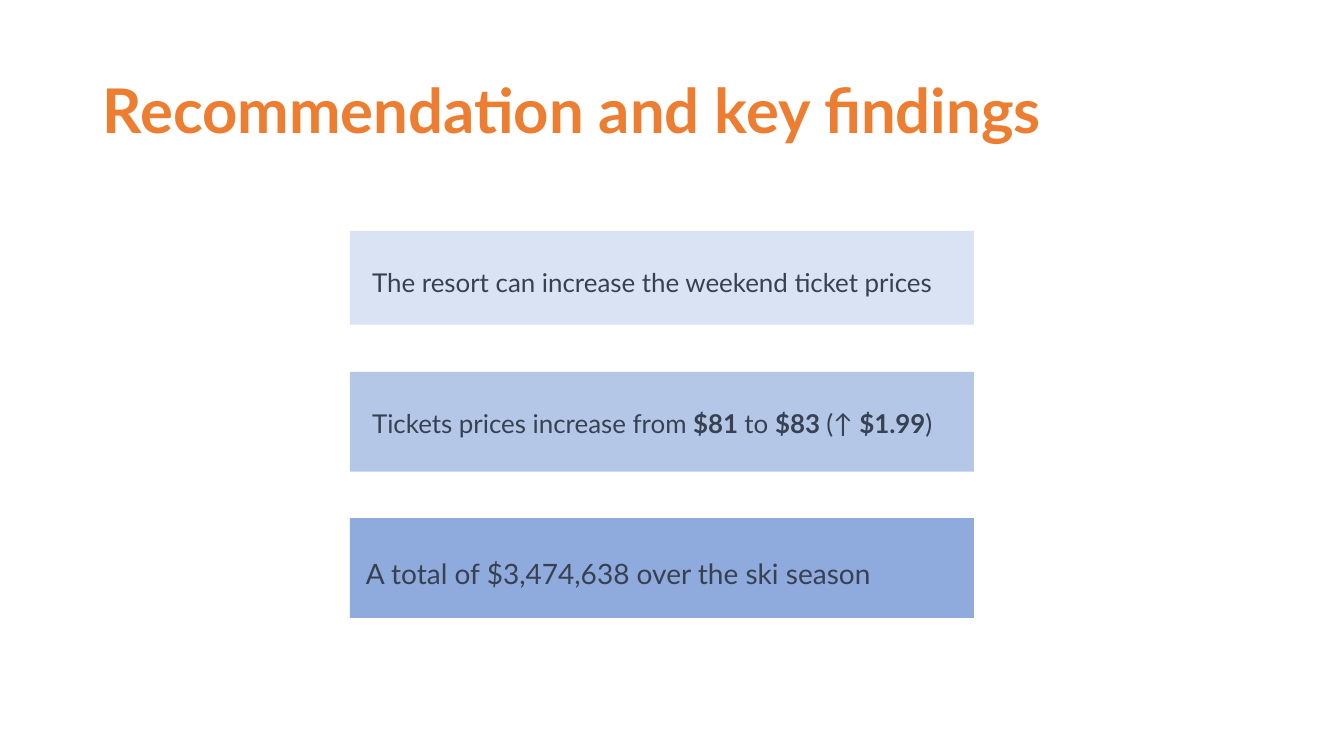
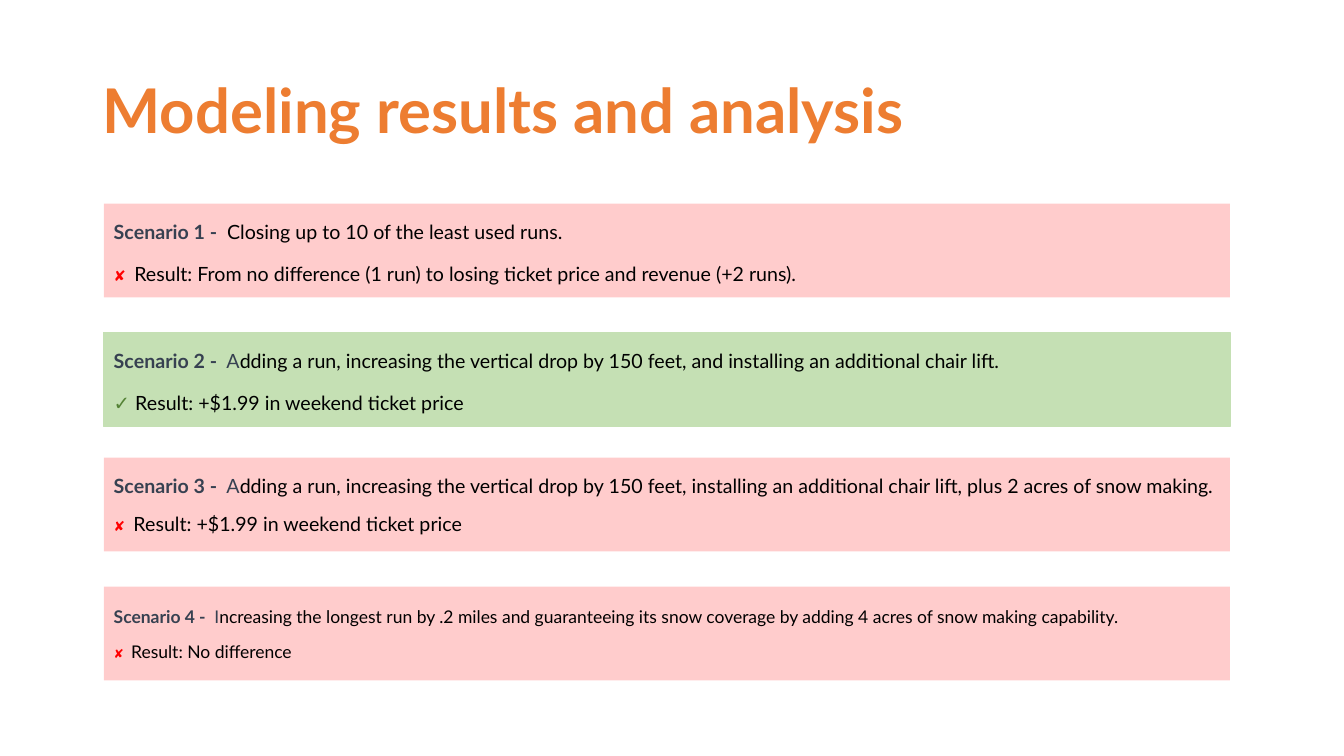
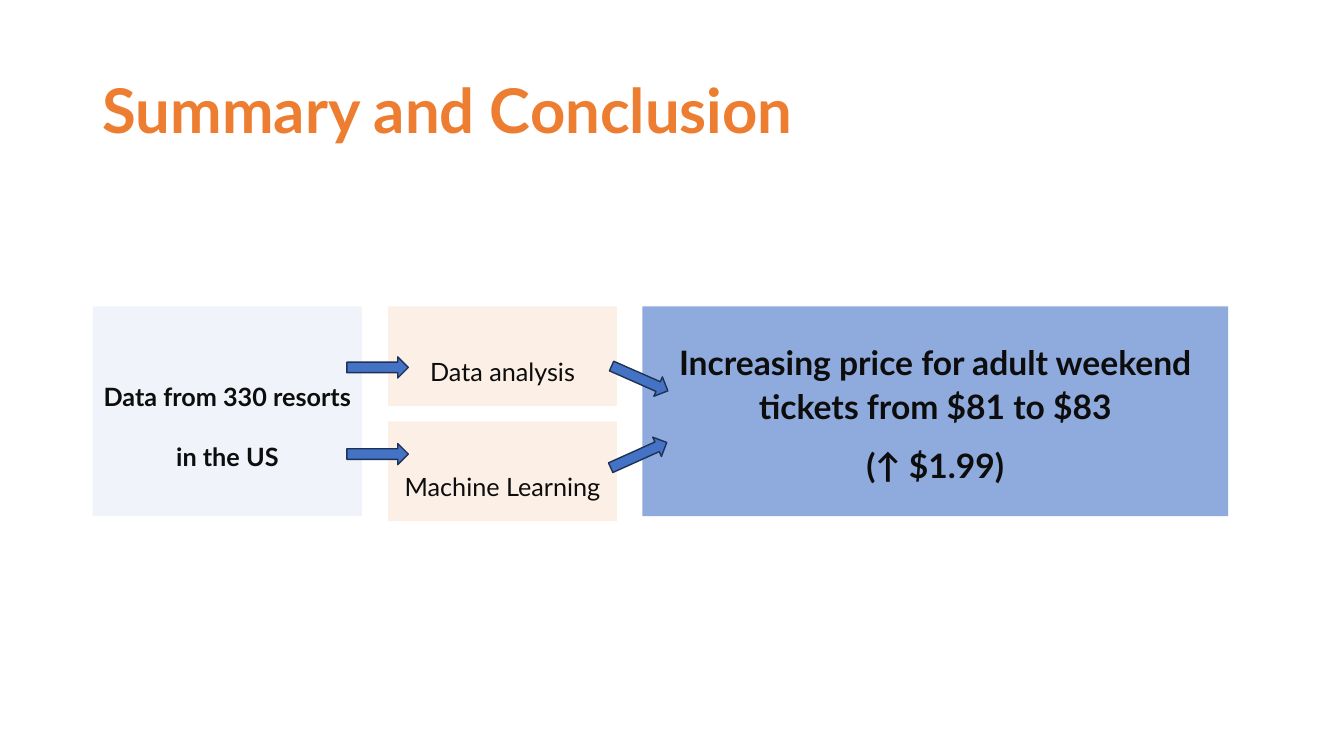
import pptx
import pptx.dml.color
import pptx.enum.shapes
import pptx.enum.text
import pptx.oxml
import pptx.util
from pptx.util import Inches

COLOURS = {
    "title": "ED7D31", "slate": "374151", "black": "000000", "ink": "0D0D0D",
    "pale_blue": "DAE3F3", "light_blue": "B4C7E7", "mid_blue": "8FAADC",
    "arrow": "4472C4", "arrow_edge": "1E3256", "peach": "F4B183",
    "red": "FF0000", "light_green": "C5E0B4", "green": "548235",
}
SHAPES = pptx.enum.shapes.MSO_SHAPE
ANCHOR = pptx.enum.text.MSO_ANCHOR
ALIGN = pptx.enum.text.PP_ALIGN


def rgb(name):
    return pptx.dml.color.RGBColor.from_string(COLOURS[name])


class SlideBuilder:
    """Holds the deck, its shared style and the slide being filled."""

    def __init__(self):
        self.deck = pptx.Presentation()
        self.deck.slide_width = Inches(13.33)
        self.deck.slide_height = Inches(7.5)
        self.page = None

    def start(self, title):
        """Add a slide with the shared heading."""
        self.page = self.deck.slides.add_slide(self.deck.slide_layouts[6])
        box = self.page.shapes.add_textbox(*map(Inches, (0.92, 0.4, 11.5, 1.45)))
        self.set_text(box, [[(title, {"color": "title", "bold": True})]],
                      size=44, spacing=0.9, before=0)

    def set_text(self, box, paras, size, color="black", spacing=1.0, before=10,
                 align=ALIGN.LEFT, anchor=ANCHOR.MIDDLE, indent=0.1):
        """Fill a shape; each paragraph is a list of (text, format) spans."""
        frame = box.text_frame
        layout = {"word_wrap": True, "vertical_anchor": anchor,
                  "margin_left": Inches(indent)}
        for name, value in layout.items():
            setattr(frame, name, value)
        for index, spans in enumerate(paras):
            para = frame.paragraphs[0] if index == 0 else frame.add_paragraph()
            settings = {"alignment": align, "line_spacing": spacing,
                        "space_before": pptx.util.Pt(before)}
            for name, value in settings.items():
                setattr(para, name, value)
            for text, changes in spans:
                values = {"name": "Lato", "size": size, "bold": False,
                          "color": color, **changes}
                span = para.add_run()
                span.text = text
                span.font.color.rgb = rgb(values.pop("color"))
                values["size"] = pptx.util.Pt(values["size"])
                for name, value in values.items():
                    setattr(span.font, name, value)

    def shape(self, place, fill, kind=SHAPES.RECTANGLE, opacity=100,
              edge=None, edge_width=1.0, turn=0):
        item = self.page.shapes.add_shape(kind, *map(Inches, place))
        item.shadow.inherit = False
        item.rotation = turn
        item.fill.solid()
        item.fill.fore_color.rgb = rgb(fill)
        if opacity < 100:
            colour = item.element.spPr.find(".//" + pptx.oxml.ns.qn("a:srgbClr"))
            alpha = pptx.oxml.parse_xml(
                f'<a:alpha {pptx.oxml.ns.nsdecls("a")} val="{opacity * 1000}"/>')
            colour.append(alpha)
        if edge:
            item.line.color.rgb = rgb(edge)
            item.line.width = pptx.util.Pt(edge_width)
        else:
            item.line.fill.background()
        return item

    def panel(self, place, fill, paras, opacity=100, edge=None, **style):
        """Add a filled rectangle with text."""
        box = self.shape(place, fill, opacity=opacity, edge=edge, edge_width=0.75)
        self.set_text(box, paras, **style)

    def scenario(self, top, number, text, result, size, spacing, mark_size=None):
        """Add a scenario band; a mark size means that it was rejected."""
        label = (f"Scenario {number} - ", {"color": "slate", "bold": True})
        if mark_size:
            mark = ("✘ ", {"name": "Calibri", "size": mark_size, "color": "red"})
            look = {"fill": "red", "opacity": 20}
        else:
            mark = ("✓", {"color": "green"})
            look = {"fill": "light_green", "edge": "light_green"}
        first = {"color": "black" if number == 1 else "slate"}
        paras = [[label, (" " + text[0], first), (text[1:], {})],
                 [mark, (" Result: " + result, {})]]
        self.panel((1.03, top, 11.17, 0.93), paras=paras, size=size,
                   spacing=spacing, **look)

    def arrow(self, left, top, turn=0):
        self.shape((left, top, 0.61, 0.21), "arrow", SHAPES.RIGHT_ARROW,
                   edge="arrow_edge", turn=turn)


def add_findings(builder):
    builder.start("Recommendation and key findings")
    bold = {"bold": True}
    findings = [
        (2.29, 0.93, "pale_blue", 18.5, 0.22,
         [("The resort can increase the weekend ticket prices", {})]),
        (3.69, 0.99, "light_blue", 18.5, 0.22,
         [("Tickets prices increase from ", {}), ("$81 ", bold), ("to ", {}),
          ("$83 ", bold), ("(↑ ", {}), ("$1.99", bold), (")", {})]),
        (5.14, 0.99, "mid_blue", 20, 0.16,
         [("A total of $3,474,638 over the ski season", {})]),
    ]
    for top, height, fill, size, indent, spans in findings:
        builder.panel((3.47, top, 6.19, height), fill, [spans], size=size,
                      color="slate", spacing=2.0, anchor=ANCHOR.TOP, indent=indent)


def add_scenarios(builder):
    builder.start("Modeling results and analysis")
    lift = "Adding a run, increasing the vertical drop by 150 feet, "
    gain = "+$1.99 in weekend ticket price"
    scenarios = [
        (2.02, 1, "Closing up to 10 of the least used runs.",
         "From no difference (1 run) to losing ticket price and revenue (+2 runs).",
         14, 1.2, 10.5),
        (3.3, 2, lift + "and installing an additional chair lift.", gain, 14, 1.2),
        (4.54, 3, lift + "installing an additional chair lift, "
         "plus 2 acres of snow making.", gain, 14, 1.0, 9.8),
        (5.82, 4, "Increasing the longest run by .2 miles and guaranteeing its snow "
         "coverage by adding 4 acres of snow making capability.",
         "No difference", 12.5, 1.0, 8.8),
    ]
    for scenario in scenarios:
        builder.scenario(*scenario)


def add_summary(builder):
    builder.start("Summary and Conclusion")
    bold = {"bold": True}
    style = {"color": "ink", "align": ALIGN.CENTER}
    builder.panel((6.37, 3.04, 5.81, 2.08), "mid_blue",
                  [[("Increasing price for adult weekend tickets from $81 to $83", bold)],
                   [("(↑ $1.99)", bold)]], size=24, spacing=1.1, **style)
    inputs = [
        ((3.85, 3.04, 2.27, 0.99), "peach", "Data analysis", {}),
        ((3.85, 4.18, 2.27, 0.99), "peach", "Machine Learning", {}),
        ((0.92, 3.04, 2.67, 2.08), "light_blue",
         "Data from 330 resorts in the US", bold),
    ]
    for place, fill, text, weight in inputs:
        builder.panel(place, fill, [[(text, weight)]], opacity=20,
                      size=18, spacing=2.0, **style)
    for arrow in [(3.44, 3.54), (3.44, 4.4), (6.04, 3.65, 23.8), (6.03, 4.41, 335.8)]:
        builder.arrow(*arrow)


def main():
    builder = SlideBuilder()
    add_findings(builder)
    add_scenarios(builder)
    add_summary(builder)
    builder.deck.save("out.pptx")


if __name__ == "__main__":
    main()
